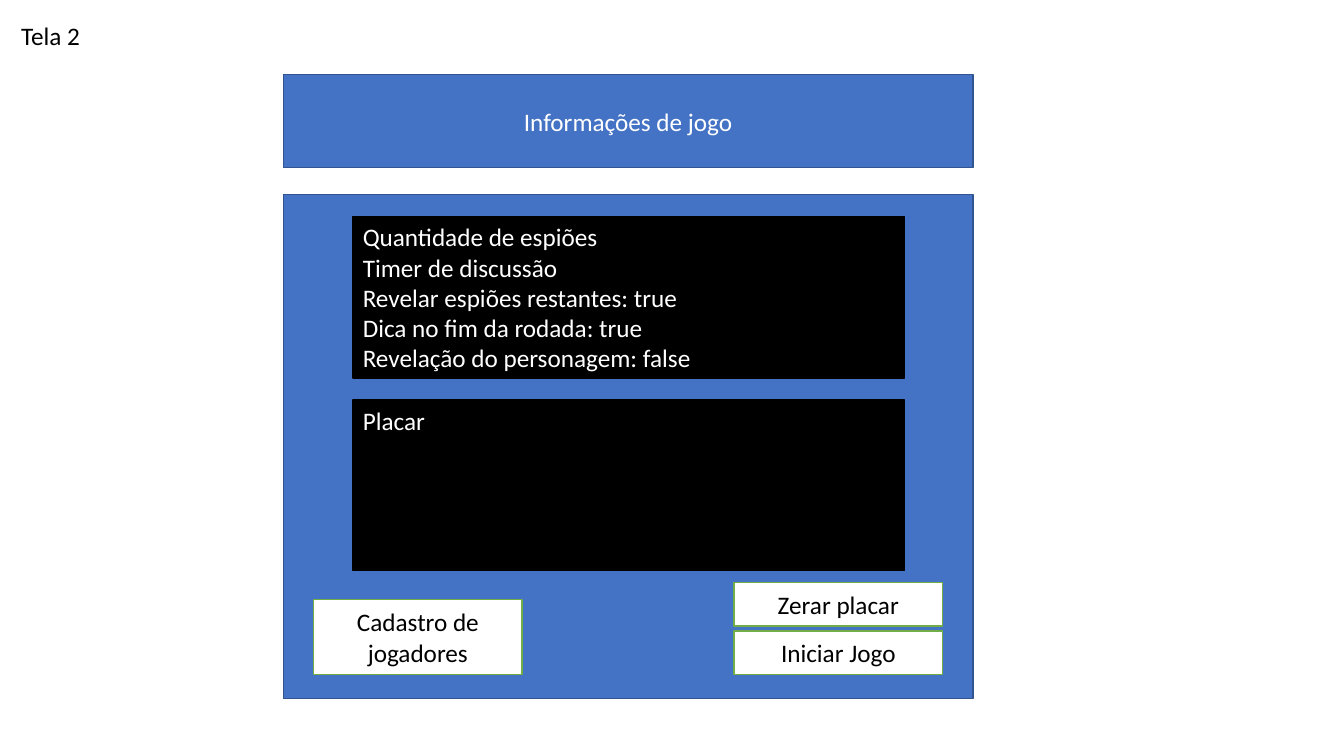
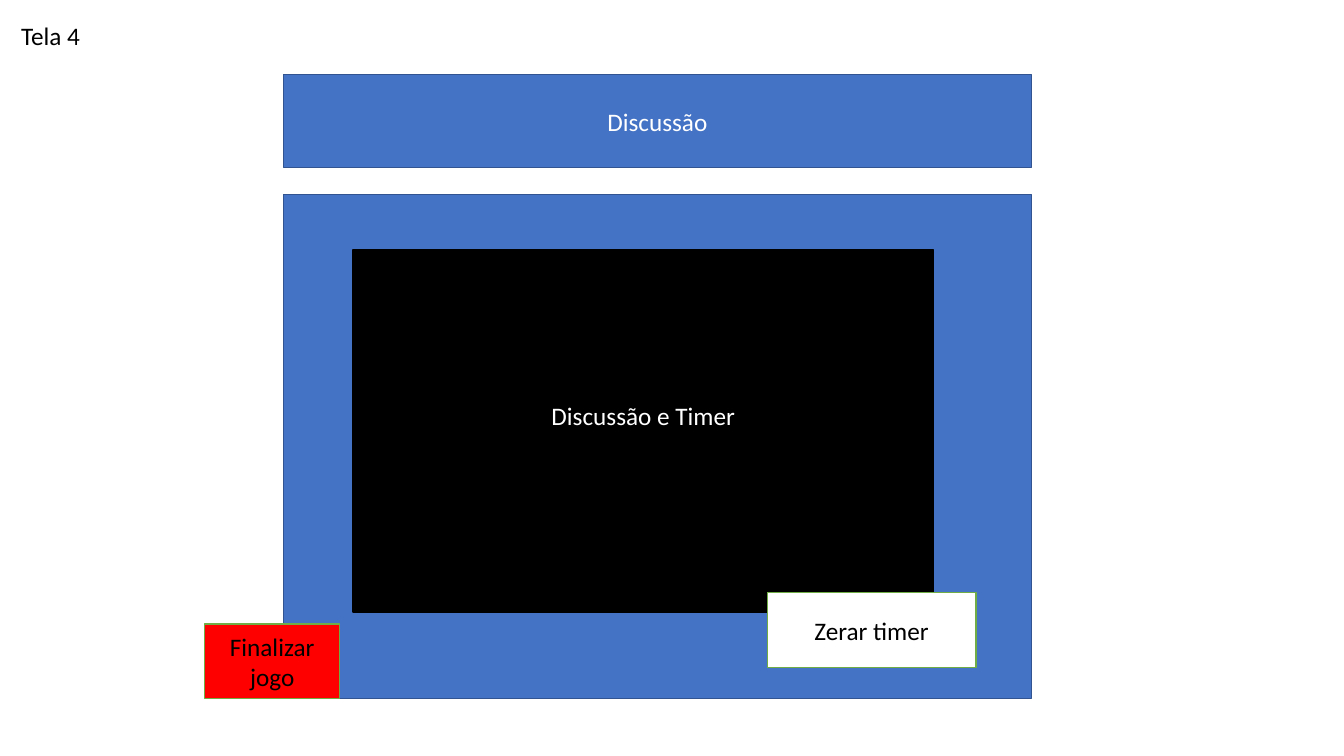
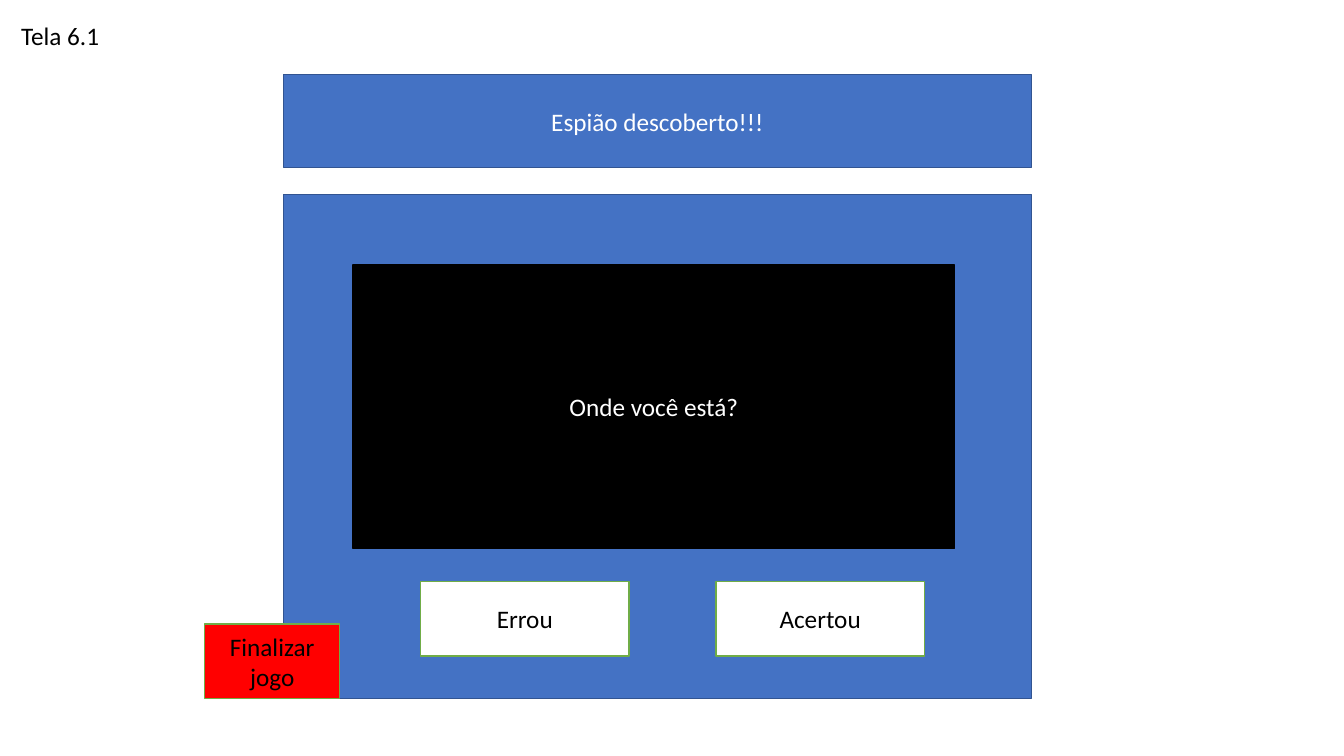
from pptx import Presentation
from pptx.dml.color import RGBColor
from pptx.enum import shapes, text
from pptx.util import Pt

# Shared look; lengths are px, 100 to the inch
PX = 9144
FONT, SIZE = "Calibri", Pt(18)
WHITE = RGBColor(0xFF, 0xFF, 0xFF)
BLACK = RGBColor(0x00, 0x00, 0x00)
BLUE = RGBColor(0x44, 0x72, 0xC4)
NAVY = RGBColor(0x32, 0x54, 0x91)
GREEN = RGBColor(0x70, 0xAD, 0x47)
RED = RGBColor(0xFF, 0x00, 0x00)

LEFT, BTN_W, BTN_H = 281, 207, 74
MID, TOP = text.MSO_ANCHOR.MIDDLE, text.MSO_ANCHOR.TOP
MID_AL, LEFT_AL = text.PP_ALIGN.CENTER, text.PP_ALIGN.LEFT

# Fill, line and font colour of each kind of box
PANEL = (BLUE, NAVY, WHITE)
SCREEN = (BLACK, BLACK, WHITE)
BUTTON = (WHITE, GREEN, BLACK)
STOP = (RED, GREEN, BLACK)


def write(frame, lines, color, align, **form):
    """Fill a text frame, one paragraph a line."""
    for name, value in form.items():
        setattr(frame, name, value)
    frame.text = "\n".join(lines)
    for para in frame.paragraphs:
        para.alignment = align
        para.font.name, para.font.size = FONT, SIZE
        para.font.color.rgb = color


def box(slide, area, look, *lines, align=MID_AL, anchor=MID, **form):
    fill, line, color = look
    shape = slide.shapes.add_shape(
        shapes.MSO_SHAPE.RECTANGLE, *(n * PX for n in area))
    shape.shadow.inherit = False
    shape.fill.solid()
    shape.fill.fore_color.rgb = fill
    shape.line.color.rgb = line
    shape.line.width = Pt(1)
    if lines:
        write(shape.text_frame, lines, color, align,
              word_wrap=True, vertical_anchor=anchor, **form)


def button(slide, left, top, label, height=BTN_H):
    box(slide, (left, top, BTN_W, height), BUTTON, label)


def stop(slide):
    box(slide, (203, 619, 134, BTN_H), STOP, "Finalizar jogo")


def frame(deck, name, name_w, head, width):
    """Add a slide with its name, header band and main panel."""
    slide = deck.slides.add_slide(deck.slide_layouts[5])
    title = slide.shapes.title
    place = dict(left=11, top=15, width=name_w, height=40)
    for side, value in place.items():
        setattr(title, side, value * PX)
    write(title.text_frame, [name], BLACK, LEFT_AL,
          word_wrap=False, vertical_anchor=TOP,
          auto_size=text.MSO_AUTO_SIZE.SHAPE_TO_FIT_TEXT)
    box(slide, (LEFT, 74, width, 92), PANEL, head)
    box(slide, (LEFT, 193, width, 500), PANEL)
    return slide


def info(deck):
    slide = frame(deck, "Tela 2", 79, "Informações de jogo", 684)
    form = dict(align=LEFT_AL, anchor=TOP)
    box(slide, (350, 215, 547, 160), SCREEN,
        "Quantidade de espiões",
        "Timer de discussão",
        "Revelar espiões restantes: true",
        "Dica no fim da rodada: true",
        "Revelação do personagem: false", **form)
    box(slide, (350, 397, 547, 169), SCREEN, "Placar", **form)
    button(slide, 311, 595, "Cadastro de jogadores")
    for row, label in enumerate(("Zerar placar", "Iniciar Jogo")):
        button(slide, 728, 578 + 48 * row, label, 43)


def talk(deck):
    slide = frame(deck, "Tela 4", 79, "Discussão", 742)
    # A deeper bottom margin lifts the label above the centre
    box(slide, (350, 248, 576, 359), SCREEN, "Discussão e Timer",
        margin_bottom=35 * PX)
    button(slide, 761, 588, "Zerar timer")
    stop(slide)


def guess(deck):
    slide = frame(deck, "Tela 6.1", 98, "Espião descoberto!!!", 742)
    box(slide, (350, 263, 597, 281), SCREEN, "Onde você está?")
    for col, label in enumerate(("Errou", "Acertou")):
        button(slide, 417 + 293 * col, 577, label)
    stop(slide)


def main():
    deck = Presentation()
    deck.slide_width, deck.slide_height = 1333 * PX, 750 * PX
    for build in (info, talk, guess):
        build(deck)
    deck.save("out.pptx")


if __name__ == "__main__":
    main()
